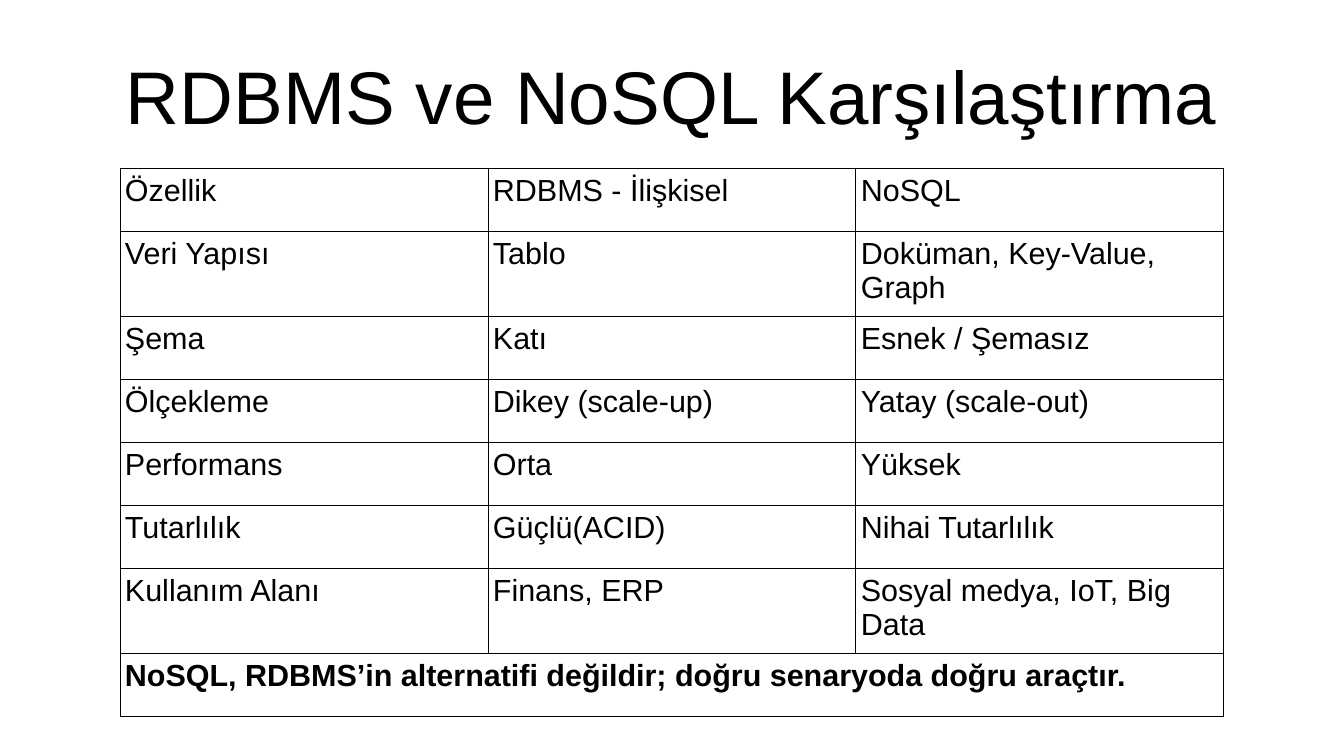
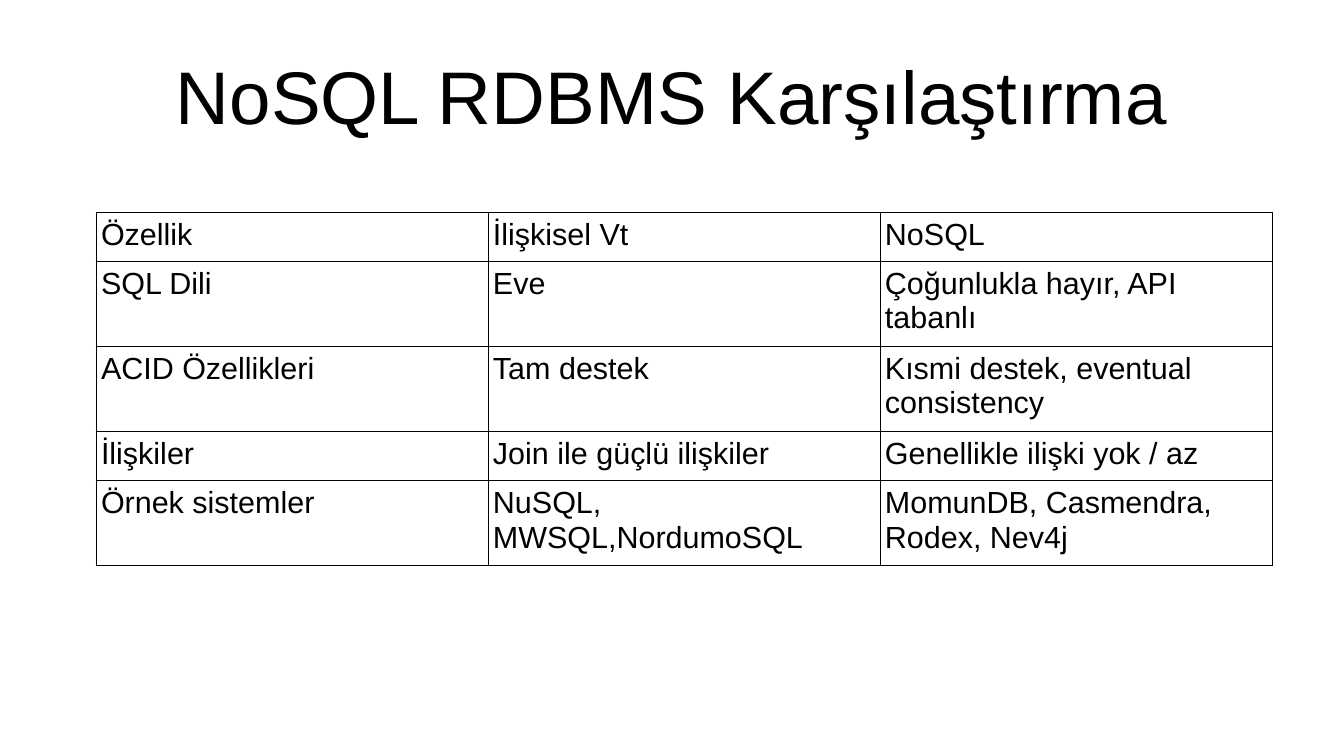
from dataclasses import dataclass

from lxml.etree import SubElement
from pptx import Presentation
from pptx.dml.color import RGBColor
from pptx.enum.text import MSO_ANCHOR, PP_ALIGN
from pptx.oxml.ns import qn
from pptx.util import Emu, Pt

EMU_PER_PX = 914400 / 122


def px(length):
    return Emu(round(length * EMU_PER_PX))


@dataclass(frozen=True)
class Theme:
    font: str = "Arial"
    ink: str = "000000"
    paper: str = "FFFFFF"
    title_size: int = 44
    body_size: int = 18
    rule_width: float = 0.57
    cell_inset_x: int = 5
    cell_inset_y: int = 6
    tall_row: int = 85


class Deck:
    """Holds the style and the slide being built."""

    def __init__(self, theme):
        self.theme = theme
        self.file = Presentation()
        self.file.slide_width, self.file.slide_height = px(1344), px(756)
        self.slide = None

    def new_slide(self, title):
        self.slide = self.file.slides.add_slide(self.file.slide_layouts[6])
        background = self.slide.background.fill
        background.solid()
        background.fore_color.rgb = RGBColor.from_string(self.theme.paper)
        self.title(title)

    def style(self, paragraph, size, bold=False):
        for run in paragraph.runs:
            run.font.name = self.theme.font
            run.font.size = Pt(size)
            run.font.bold = bold
            run.font.color.rgb = RGBColor.from_string(self.theme.ink)

    def title(self, text):
        frame = self.slide.shapes.add_textbox(px(67), px(31), px(1210), px(127)).text_frame
        frame.word_wrap = True
        frame.vertical_anchor = MSO_ANCHOR.MIDDLE
        frame.margin_left = frame.margin_right = frame.margin_top = frame.margin_bottom = 0
        frame.text = text
        heading = frame.paragraphs[0]
        heading.alignment = PP_ALIGN.CENTER
        self.style(heading, self.theme.title_size)

    def table(self, left, top, column_width, row_height, rows, tall_rows, closing=None):
        """Draw a ruled grid; closing is a bold last row across all columns."""
        columns = len(rows[0])
        row_count = len(rows) + (closing is not None)
        heights = [self.theme.tall_row if r in tall_rows else row_height
                   for r in range(row_count)]
        grid = self.slide.shapes.add_table(
            row_count, columns, px(left), px(top),
            px(column_width * columns), px(sum(heights))).table
        grid.first_row = grid.horz_banding = False
        for column in grid.columns:
            column.width = px(column_width)
        for row, height in zip(grid.rows, heights):
            row.height = px(height)
        for r, texts in enumerate(rows):
            for c, text in enumerate(texts):
                self.cell(grid.cell(r, c), text)
        if closing is not None:
            conclusion = grid.cell(row_count - 1, 0)
            conclusion.merge(grid.cell(row_count - 1, columns - 1))
            self.cell(conclusion, closing, bold=True)

    def cell(self, cell, text, bold=False):
        cell.margin_left = cell.margin_right = px(self.theme.cell_inset_x)
        cell.margin_top = cell.margin_bottom = px(self.theme.cell_inset_y)
        cell.text_frame.text = text
        self.style(cell.text_frame.paragraphs[0], self.theme.body_size, bold)
        self.borders(cell)
        cell.fill.background()

    def borders(self, cell):
        properties = cell._tc.get_or_add_tcPr()
        for side in ("a:lnL", "a:lnR", "a:lnT", "a:lnB"):
            line = SubElement(properties, qn(side), w=str(Pt(self.theme.rule_width)))
            fill = SubElement(line, qn("a:solidFill"))
            SubElement(fill, qn("a:srgbClr"), val=self.theme.ink)


def main():
    deck = Deck(Theme())

    # General comparison
    deck.new_slide("RDBMS ve NoSQL Karşılaştırma")
    deck.table(
        120, 168, column_width=368, row_height=63, tall_rows={1, 6},
        rows=[
            ("Özellik", "RDBMS - İlişkisel", "NoSQL"),
            ("Veri Yapısı", "Tablo", "Doküman, Key-Value, Graph"),
            ("Şema", "Katı", "Esnek / Şemasız"),
            ("Ölçekleme", "Dikey (scale-up)", "Yatay (scale-out)"),
            ("Performans", "Orta", "Yüksek"),
            ("Tutarlılık", "Güçlü(ACID)", "Nihai Tutarlılık"),
            ("Kullanım Alanı", "Finans, ERP", "Sosyal medya, IoT, Big Data"),
        ],
        closing="NoSQL, RDBMS’in alternatifi değildir; doğru senaryoda doğru araçtır.")

    # Language, transactions and example systems
    deck.new_slide("NoSQL RDBMS Karşılaştırma")
    deck.table(
        96, 212, column_width=392, row_height=49, tall_rows={1, 2, 4},
        rows=[
            ("Özellik", "İlişkisel Vt", "NoSQL"),
            ("SQL Dili", "Eve", "Çoğunlukla hayır, API tabanlı"),
            ("ACID Özellikleri", "Tam destek", "Kısmi destek, eventual consistency"),
            ("İlişkiler", "Join ile güçlü ilişkiler", "Genellikle ilişki yok / az"),
            ("Örnek sistemler", "NuSQL, MWSQL,NordumoSQL",
             "MomunDB, Casmendra, Rodex, Nev4j"),
        ])

    deck.file.save("out.pptx")


if __name__ == "__main__":
    main()
